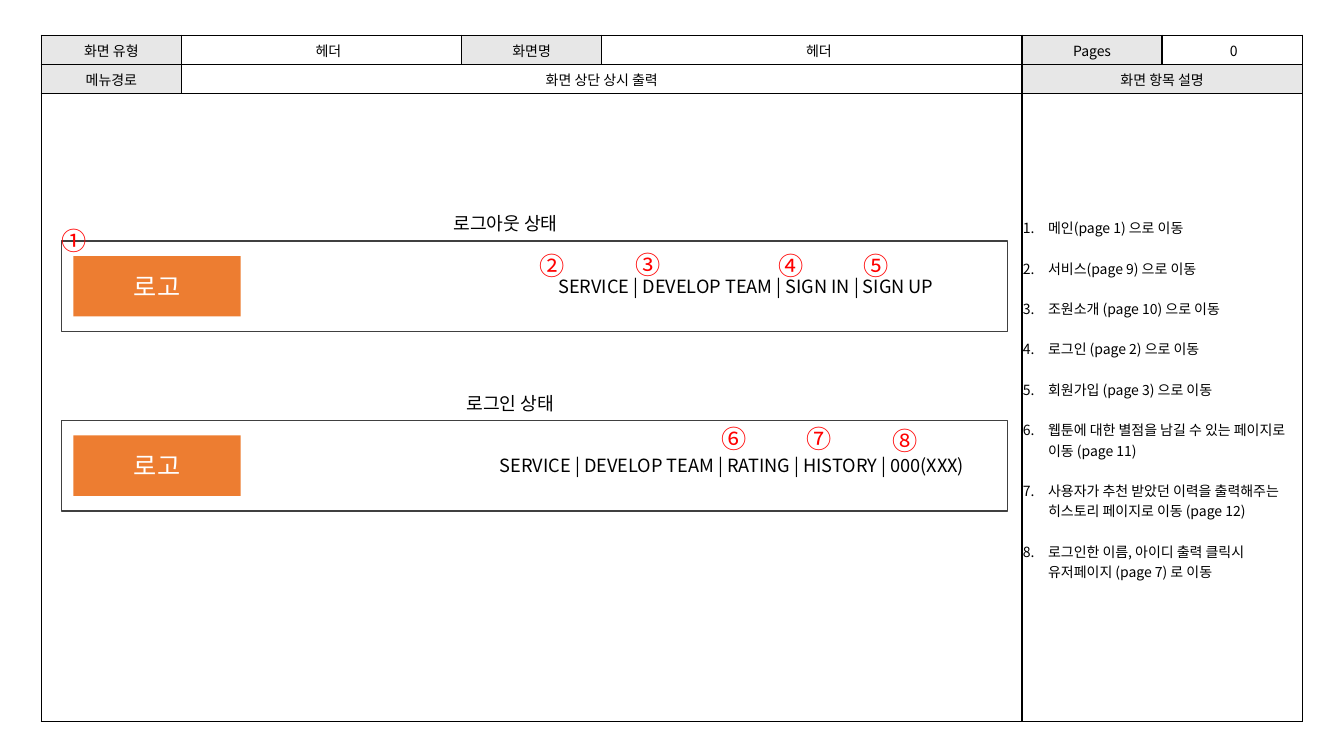
from dataclasses import dataclass

from lxml.etree import SubElement
from pptx import Presentation
from pptx.dml.color import RGBColor
from pptx.enum.shapes import MSO_SHAPE
from pptx.enum.text import MSO_ANCHOR, MSO_AUTO_SIZE, PP_ALIGN
from pptx.oxml.ns import qn
from pptx.util import Pt


@dataclass(frozen=True)
class Theme:
    font: str = "Noto Sans CJK KR"
    black: str = "000000"
    white: str = "FFFFFF"
    label: str = "E7E7E7"
    frame: str = "404040"
    logo: str = "ED7D31"
    marker: str = "FF0000"
    small: float = 10
    body: float = 13
    large: float = 18


THEME = Theme()
COLUMN_UNITS = (1, 2, 1, 3, 1, 1)
HEADING_HEIGHT = 20.8

# Row, column, columns spanned, text, whether the cell is a label
HEADINGS = (
    (0, 0, 1, "화면 유형", True),
    (0, 1, 1, "　헤더", False),
    (0, 2, 1, "화면명", True),
    (0, 3, 1, "　헤더", False),
    (0, 4, 1, "Pages", True),
    (0, 5, 1, " 0", False),
    (1, 0, 1, "메뉴경로", True),
    (1, 1, 3, "화면 상단 상시 출력", False),
    (1, 4, 2, "화면 항목 설명", True),
)
DESCRIPTIONS = (
    "메인(page 1) 으로 이동",
    "서비스(page 9) 으로 이동",
    "조원소개 (page 10) 으로 이동",
    "로그인 (page 2) 으로 이동",
    "회원가입 (page 3) 으로 이동",
    "웹툰에 대한 별점을 남길 수 있는 페이지로 이동 (page 11)",
    "사용자가 추천 받았던 이력을 출력해주는 히스토리 페이지로 이동 (page 12)",
    "로그인한 이름, 아이디 출력 클릭시 유저페이지 (page 7) 로 이동",
)

# Offsets are measured from the top left corner of the header frame
LOGGED_OUT = {
    "title": ("로그아웃 상태", 272.9, 97.9),
    "menu": ("SERVICE | DEVELOP TEAM | SIGN IN | SIGN UP ", 320.4, 339.8),
    "markers": (("①", -7.2, -14.4), ("②", 334.1, 2.9), ("③", 403.2, 2.2),
                ("④", 505.4, 2.9), ("⑤", 565.9, 2.9)),
}
LOGGED_IN = {
    "title": ("로그인 상태", 282.2, 85),
    "menu": ("SERVICE | DEVELOP TEAM | RATING | HISTORY | 000(XXX) ", 301, 358.6),
    "markers": (("⑥", 464.4, -1.4), ("⑦", 524.9, -1.4), ("⑧", 586.8, 0)),
}


def apply_format(target, values):
    for name, value in values.items():
        setattr(target, name, value)


def paint(target, colour):
    target.fill.solid()
    target.fill.fore_color.rgb = RGBColor.from_string(colour)


def write(para, text, size, colour, align=PP_ALIGN.LEFT):
    para.alignment = align
    span = para.add_run()
    span.text = text
    apply_format(span.font, {"size": Pt(size), "name": THEME.font})
    span.font.color.rgb = RGBColor.from_string(colour)
    SubElement(span.font._element, qn("a:ea"), typeface=THEME.font)


def add_label(page, box, text, size, colour, align=PP_ALIGN.LEFT, wrap=False):
    frame = page.shapes.add_textbox(*map(Pt, box)).text_frame
    apply_format(frame, {"word_wrap": wrap,
                         "auto_size": MSO_AUTO_SIZE.SHAPE_TO_FIT_TEXT})
    write(frame.paragraphs[0], text, size, colour, align)


def add_rectangle(page, box):
    shape = page.shapes.add_shape(MSO_SHAPE.RECTANGLE, *map(Pt, box))
    shape.shadow.inherit = False
    return shape


def style_cell(cell):
    paint(cell, THEME.white)
    apply_format(cell, {"margin_left": Pt(0.7), "margin_right": Pt(0.7),
                        "margin_top": Pt(0.7), "margin_bottom": 0,
                        "vertical_anchor": MSO_ANCHOR.MIDDLE})
    properties = cell._tc.get_or_add_tcPr()
    for index, side in enumerate(("lnL", "lnR", "lnT", "lnB")):
        line = properties.makeelement(qn(f"a:{side}"), {"w": str(Pt(1))})
        solid = SubElement(line, qn("a:solidFill"))
        SubElement(solid, qn("a:srgbClr"), val=THEME.black)
        properties.insert(index, line)


def fill_descriptions(cell):
    cell.margin_bottom = Pt(12)
    frame = cell.text_frame
    for index, text in enumerate(DESCRIPTIONS):
        para = frame.add_paragraph() if index else frame.paragraphs[0]
        if index:
            para.space_before = Pt(14.5)
        properties = para._p.get_or_add_pPr()
        properties.set("marL", str(Pt(18)))
        properties.set("indent", str(Pt(-18)))
        SubElement(properties, qn("a:buFont"), typeface=THEME.font)
        SubElement(properties, qn("a:buAutoNum"), type="arabicPeriod")
        write(para, text, THEME.small, THEME.black)


def add_sheet(page, box):
    """Form table: headings, drawing area and numbered descriptions."""
    left, top, width, height = box
    table = page.shapes.add_table(3, len(COLUMN_UNITS), *map(Pt, box)).table
    apply_format(table, {"first_row": False, "horz_banding": False})
    for column, units in zip(table.columns, COLUMN_UNITS):
        column.width = Pt(width * units / sum(COLUMN_UNITS))
    heights = (HEADING_HEIGHT, HEADING_HEIGHT, height - 2 * HEADING_HEIGHT)
    for row, row_height in zip(table.rows, heights):
        row.height = Pt(row_height)
    for cell in table.iter_cells():
        style_cell(cell)

    # Headings
    for row, column, columns, text, is_label in HEADINGS:
        cell = table.cell(row, column)
        if columns > 1:
            cell.merge(table.cell(row, column + columns - 1))
        if is_label:
            paint(cell, THEME.label)
        write(cell.text_frame.paragraphs[0], text, THEME.small, THEME.black,
              PP_ALIGN.CENTER)

    # Drawing area and descriptions
    table.cell(2, 0).merge(table.cell(2, 3))
    table.cell(2, 4).merge(table.cell(2, 5))
    fill_descriptions(table.cell(2, 4))


def add_header_state(page, box, state):
    """One page header: frame, logo block, menu, title and markers."""
    left, top, width, height = box
    outline = add_rectangle(page, box)
    outline.fill.background()
    outline.line.color.rgb = RGBColor.from_string(THEME.frame)
    outline.line.width = Pt(1)

    # Logo block
    logo = add_rectangle(page, (left + 8.6, top + 10.8, 119.5, height - 21.6))
    paint(logo, THEME.logo)
    logo.line.fill.background()
    logo.text_frame.vertical_anchor = MSO_ANCHOR.MIDDLE
    write(logo.text_frame.paragraphs[0], "로고", THEME.large, THEME.white,
          PP_ALIGN.CENTER)

    # Menu and title
    text, offset, text_width = state["menu"]
    add_label(page, (left + offset, top + 20.9, text_width, 23), text,
              THEME.body, THEME.black, PP_ALIGN.CENTER, True)
    text, offset, text_width = state["title"]
    add_label(page, (left + offset, top - 23.8, text_width, 23), text,
              THEME.body, THEME.black)

    # Markers
    for text, across, down in state["markers"]:
        add_label(page, (left + across, top + down, 32.4, 28.8), text,
                  THEME.large, THEME.marker)


def main():
    deck = Presentation()
    apply_format(deck, {"slide_width": Pt(960), "slide_height": Pt(540)})
    page = deck.slides.add_slide(deck.slide_layouts[6])
    add_sheet(page, (29.5, 25.2, 900.7, 490))
    for top, state in ((172.1, LOGGED_OUT), (300.2, LOGGED_IN)):
        add_header_state(page, (43.9, top, 676, 64.8), state)
    deck.save("out.pptx")


if __name__ == "__main__":
    main()
